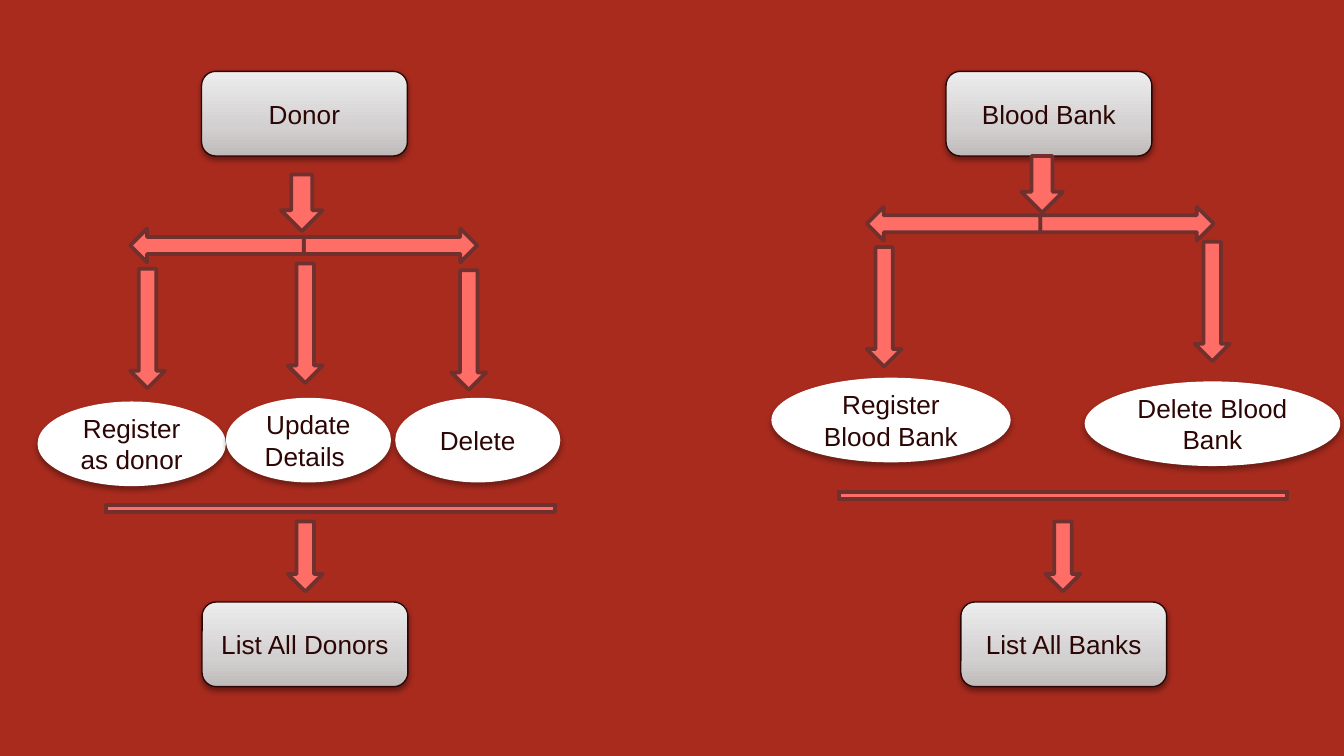
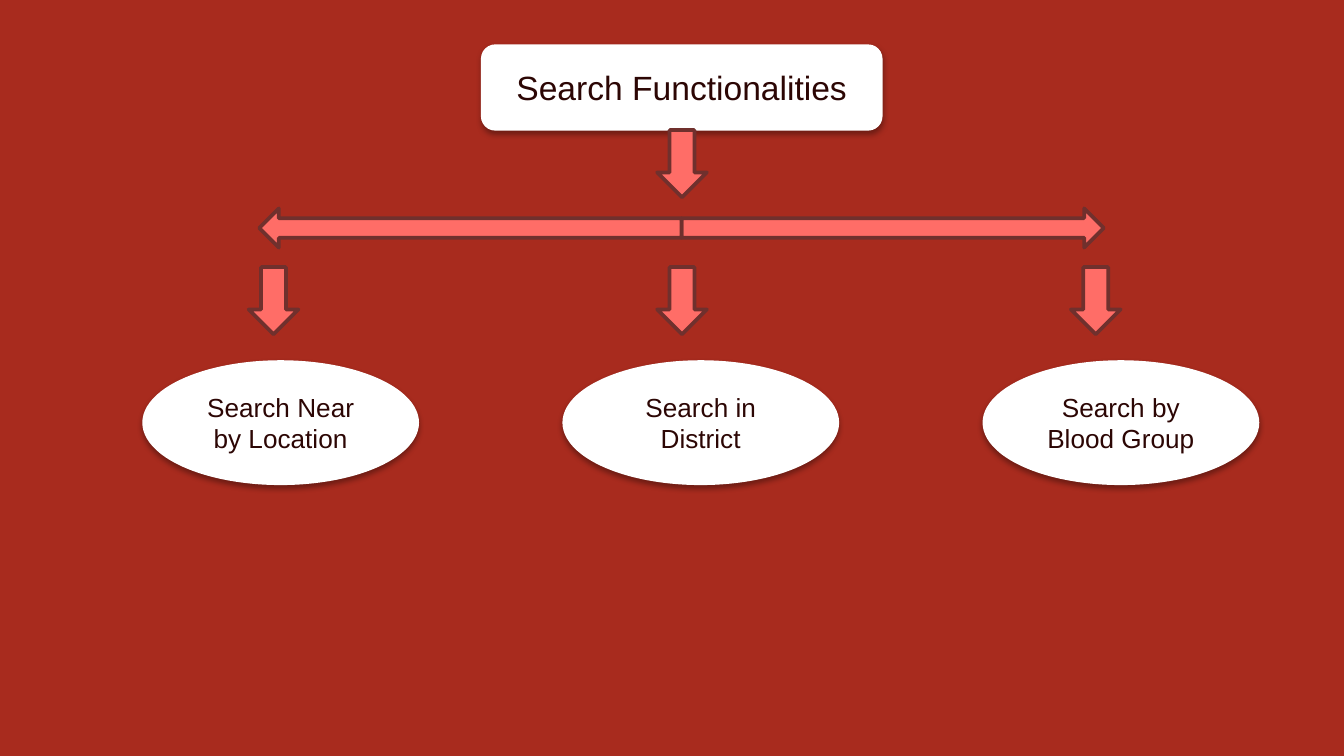
from copy import deepcopy

from lxml.etree import SubElement
from pptx import Presentation
from pptx.dml.color import RGBColor
from pptx.enum.shapes import MSO_SHAPE
from pptx.enum.text import MSO_ANCHOR, PP_ALIGN
from pptx.oxml.ns import qn
from pptx.util import Cm, Pt

COLORS = {
    "background": "A82B1E",
    "text": "2C0604",
    "node": "FFFFFF",
    "box_line": "2C0503",
    "arrow": "FF6D67",
    "arrow_line": "70302D",
    "shadow": "000000",
}
BOX_GRADIENT = [(0, "C0BBBB"), (0.35, "D2D0D0"), (1, "EEEDED")]
FONT = "Arial"


def add_node(slide, kind, text, left, top, width, height, size=14, gradient=False):
    """Add a labelled shape with a soft shadow, filled white or with the grey gradient."""
    shape = slide.shapes.add_shape(kind, Cm(left), Cm(top), Cm(width), Cm(height))
    properties = shape._element.spPr
    if gradient:
        shape.fill.gradient()
        shape.fill.gradient_angle = 90
        stop_list = properties.find(".//" + qn("a:gsLst"))
        stop_list.append(deepcopy(stop_list[0]))
        for stop, (position, color) in zip(shape.fill.gradient_stops, BOX_GRADIENT):
            stop.position = position
            stop.color.rgb = RGBColor.from_string(color)
        shape.line.color.rgb = RGBColor.from_string(COLORS["box_line"])
        shape.line.width = Pt(0.75)
    else:
        shape.fill.solid()
        shape.fill.fore_color.rgb = RGBColor.from_string(COLORS["node"])
        shape.line.fill.background()

    shape.shadow.inherit = False
    shadow = SubElement(
        properties.find(qn("a:effectLst")), qn("a:outerShdw"),
        blurRad=str(Pt(3.1)), dist=str(Pt(1.6 if gradient else 1.8)),
        dir="5400000", rotWithShape="0",
    )
    shadow_color = SubElement(shadow, qn("a:srgbClr"), val=COLORS["shadow"])
    SubElement(shadow_color, qn("a:alpha"), val="38000" if gradient else "35000")

    frame = shape.text_frame
    frame.word_wrap = True
    frame.vertical_anchor = MSO_ANCHOR.MIDDLE
    frame.text = text
    for paragraph in frame.paragraphs:
        paragraph.alignment = PP_ALIGN.CENTER
        paragraph.font.name = FONT
        paragraph.font.size = Pt(size)
        paragraph.font.color.rgb = RGBColor.from_string(COLORS["text"])


def add_arrow(slide, kind, left, top, width, height, rotation=0):
    """Add a coral arrow or bar with a dark outline."""
    shape = slide.shapes.add_shape(kind, Cm(left), Cm(top), Cm(width), Cm(height))
    shape.shadow.inherit = False
    shape.rotation = rotation
    shape.fill.solid()
    shape.fill.fore_color.rgb = RGBColor.from_string(COLORS["arrow"])
    shape.line.color.rgb = RGBColor.from_string(COLORS["arrow_line"])
    shape.line.width = Pt(2)


presentation = Presentation()
presentation.slide_width = Cm(25.4)
presentation.slide_height = Cm(14.29)
background = presentation.slide_master.background.fill
background.solid()
background.fore_color.rgb = RGBColor.from_string(COLORS["background"])
blank_layout = presentation.slide_layouts[6]

# Slide 1: donor and blood bank flows
flow_slide = presentation.slides.add_slide(blank_layout)
for text, left, top in [
    ("Donor", 3.81, 1.35),
    ("Blood Bank", 17.88, 1.35),
    ("List All Donors", 3.82, 11.38),
    ("List All Banks", 18.16, 11.38),
]:
    add_node(flow_slide, MSO_SHAPE.ROUNDED_RECTANGLE, text, left, top, 3.89, 1.6, gradient=True)

for text, left, top, width in [
    ("Register as donor", 0.71, 7.59, 3.56),
    ("Delete", 7.47, 7.52, 3.12),
    ("Update\nDetails ", 4.27, 7.52, 3.12),
    ("Register Blood Bank", 14.58, 7.14, 4.52),
    ("Delete Blood Bank", 20.5, 7.21, 4.83),
]:
    add_node(flow_slide, MSO_SHAPE.OVAL, text, left, top, width, 1.6)

arrow_groups = [
    (0.79, 1.07, [(5.31, 3.3), (19.3, 2.95)]),
    (0.66, 2.26, [(2.46, 5.08), (5.44, 4.98), (8.53, 5.11), (16.38, 4.67), (22.58, 4.57)]),
    (0.66, 1.32, [(5.44, 9.86), (19.76, 9.86)]),
]
for width, height, places in arrow_groups:
    for left, top in places:
        add_arrow(flow_slide, MSO_SHAPE.DOWN_ARROW, left, top, width, height)

for left, top in [(2.01, 9.55), (15.85, 9.3)]:
    add_arrow(flow_slide, MSO_SHAPE.RECTANGLE, left, top, 8.48, 0.13)

# Slide 2: search functionalities
search_slide = presentation.slides.add_slide(blank_layout)
add_node(search_slide, MSO_SHAPE.ROUNDED_RECTANGLE, "Search Functionalities",
         9.09, 0.84, 7.59, 1.63, size=18)
searches = ["Search Near by Location", "Search in District", "Search by Blood Group"]
for index, text in enumerate(searches):
    add_node(search_slide, MSO_SHAPE.OVAL, text, 2.69 + index * 7.94, 6.81, 5.23, 2.36)
for left, top in [(12.42, 2.46), (4.7, 5.05), (12.42, 5.05), (20.24, 5.05)]:
    add_arrow(search_slide, MSO_SHAPE.DOWN_ARROW, left, top, 0.94, 1.27)

# Branches: two arrows pointing away from a shared centre
for slide, center, top, length, height in [
    (flow_slide, 5.74, 4.32, 3.28, 0.64),
    (flow_slide, 19.66, 3.91, 3.28, 0.64),
    (search_slide, 12.88, 3.94, 7.98, 0.74),
]:
    add_arrow(slide, MSO_SHAPE.RIGHT_ARROW, center, top, length, height)
    add_arrow(slide, MSO_SHAPE.RIGHT_ARROW, center - length, top, length, height, rotation=180)

presentation.save("out.pptx")
